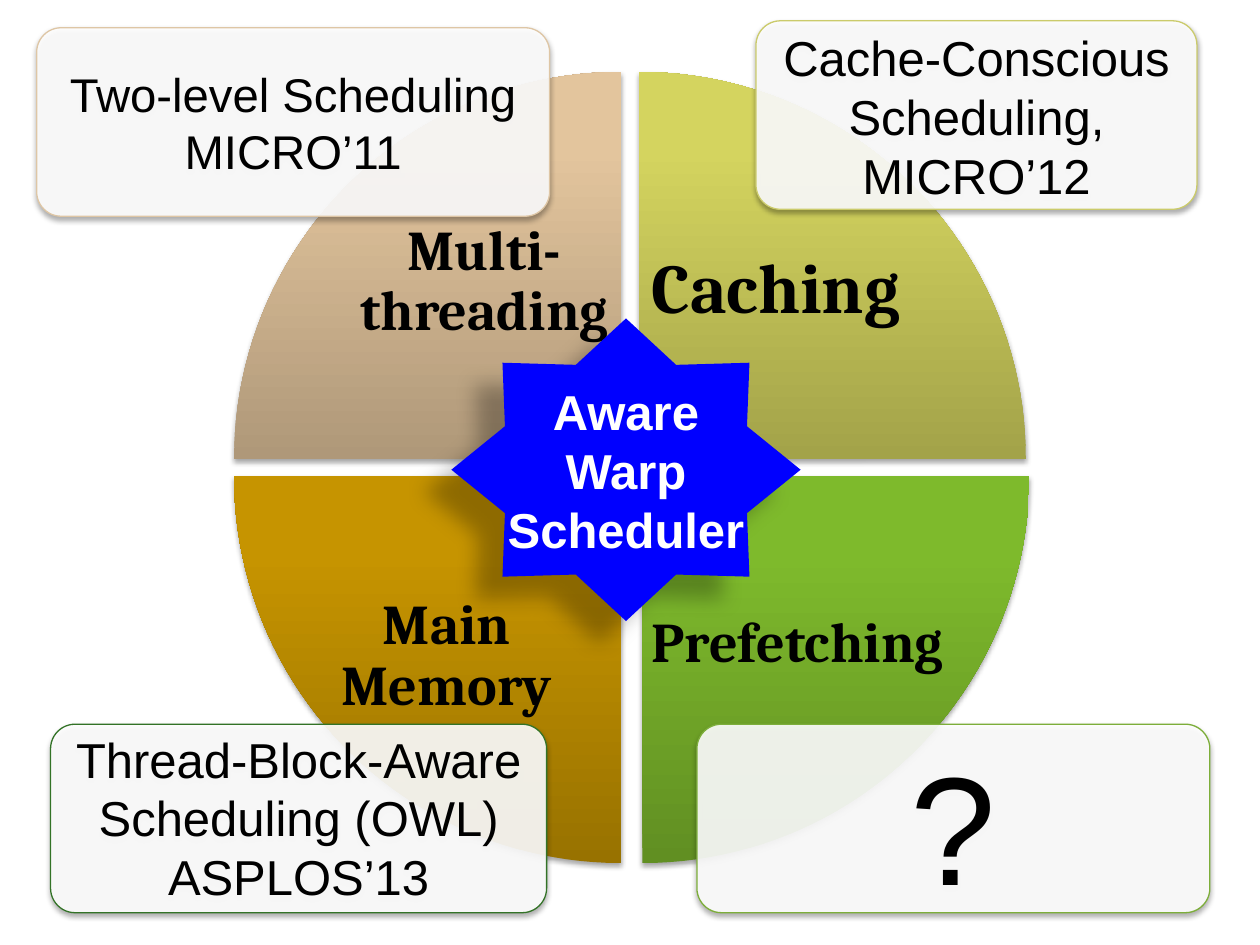
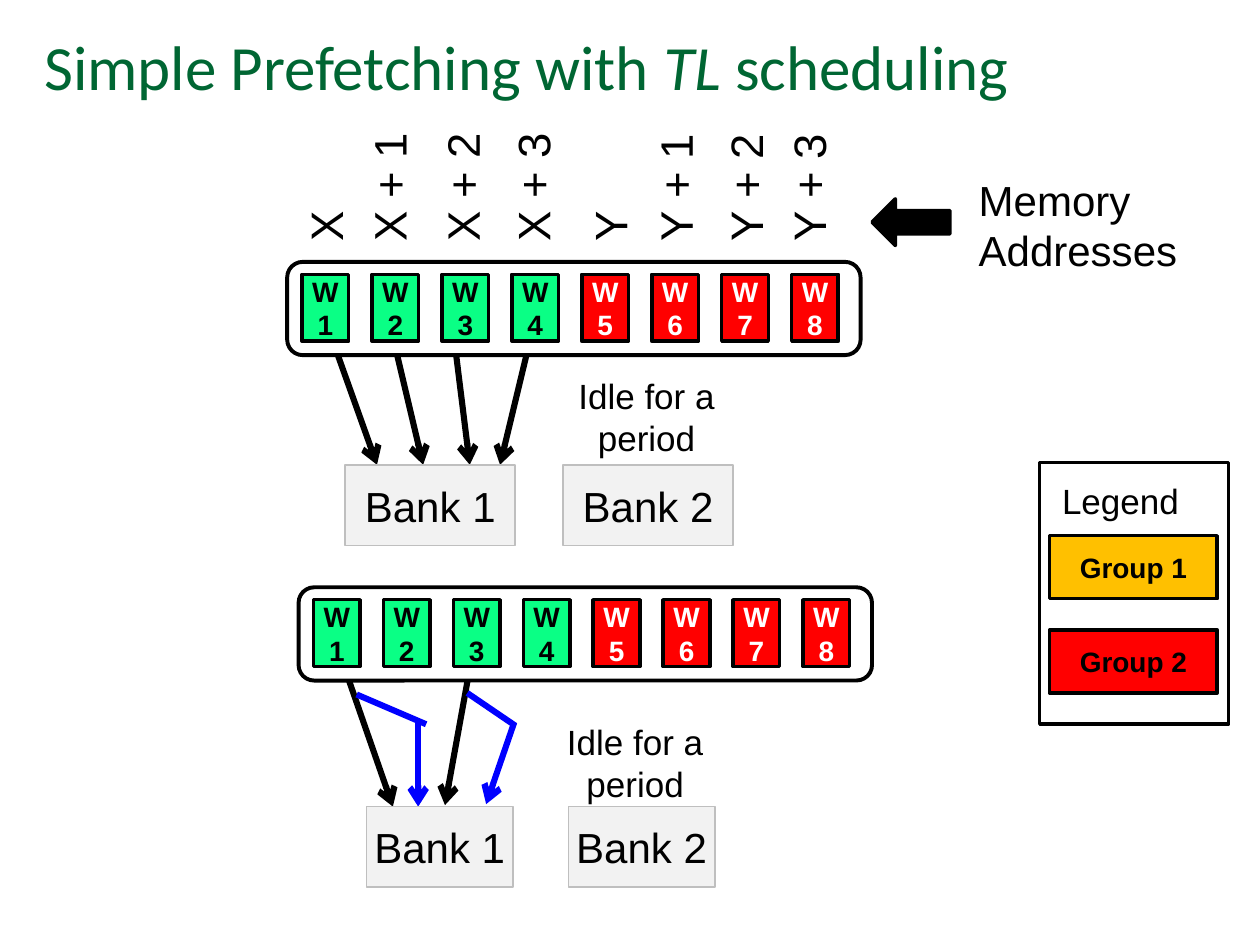
"""Build two slides on warp scheduling and simple prefetching."""
from dataclasses import dataclass
from math import cos, radians, sin

from lxml import etree
from pptx import Presentation
from pptx.dml.color import RGBColor
from pptx.enum.shapes import MSO_CONNECTOR, MSO_SHAPE
from pptx.enum.text import MSO_ANCHOR, PP_ALIGN
from pptx.oxml.ns import qn
from pptx.util import Cm, Pt

LEFT, MID = PP_ALIGN.LEFT, PP_ALIGN.CENTER
TOP, HALF, LOW = MSO_ANCHOR.TOP, MSO_ANCHOR.MIDDLE, MSO_ANCHOR.BOTTOM
RECT, ROUND = MSO_SHAPE.RECTANGLE, MSO_SHAPE.ROUNDED_RECTANGLE
STAR, ARROW = MSO_SHAPE.STAR_8_POINT, MSO_SHAPE.LEFT_ARROW
STRAIGHT = MSO_CONNECTOR.STRAIGHT


@dataclass(frozen=True)
class Theme:
    black: str = "000000"
    white: str = "FFFFFF"
    blue: str = "0000FF"
    title: str = "006633"
    green: str = "0AFF85"
    red: str = "FF0000"
    amber: str = "FFC000"
    bank: str = "F2F2F2"
    rim: str = "BFBFBF"
    sans: str = "Arial"
    serif: str = "Cambria"
    head: str = "Calibri"
    tiny: int = 16
    small: int = 20
    body: int = 24
    label: int = 26
    duo: int = 27
    card: int = 28
    wedge: int = 32
    large: int = 36
    big: int = 40
    huge: int = 88


T = Theme()
SOFT = (35, 3.1, 1.8, 90)
DEEP = (28, 11.8, 19.7, 141)
NONE = (0, 0, 0, 0)
SLIM = (0.13, 0.08, 0.13, 0.08)
BOX = (0.25, 0.13, 0.25, 0.13)


def paint(shape, fill=None, edge=None, width=2, shade=None):
    shape.shadow.inherit = False
    if isinstance(fill, tuple):
        shape.fill.gradient()
        shape.fill.gradient_angle = 90
        for stop, tone, spot in zip(shape.fill.gradient_stops, fill, (0, 0.8)):
            stop.color.rgb = RGBColor.from_string(tone)
            stop.position = spot
    elif fill:
        shape.fill.solid()
        shape.fill.fore_color.rgb = RGBColor.from_string(fill)
    else:
        shape.fill.background()
    if edge:
        shape.line.color.rgb = RGBColor.from_string(edge)
        shape.line.width = Pt(width)
    else:
        shape.line.fill.background()
    if shade:
        alpha, blur, dist, turn = shade
        cast = etree.SubElement(
            shape._element.spPr.find(qn("a:effectLst")), qn("a:outerShdw"),
            blurRad=str(Pt(blur)), dist=str(Pt(dist)), dir=str(turn * 60000),
            algn="ctr", rotWithShape="0")
        tone = etree.SubElement(cast, qn("a:srgbClr"), val=T.black)
        etree.SubElement(tone, qn("a:alpha"), val=str(alpha * 1000))
    return shape


def write(shape, lines, size, ink=T.black, font=T.sans, bold=False,
          align=MID, anchor=HALF, pads=NONE, space=None):
    """Fill a shape with lines; text between asterisks is italic."""
    frame = shape.text_frame
    frame.word_wrap = True
    frame.vertical_anchor = anchor
    (frame.margin_left, frame.margin_top,
     frame.margin_right, frame.margin_bottom) = map(Cm, pads)
    for row, line in enumerate(lines):
        para = frame.add_paragraph() if row else frame.paragraphs[0]
        para.alignment = align
        para.line_spacing = space
        for turn, words in enumerate(line.split("*")):
            run = para.add_run()
            run.text = words
            run.font.name = font
            run.font.size = Pt(size)
            run.font.bold = bold
            run.font.italic = turn % 2 == 1
            run.font.color.rgb = RGBColor.from_string(ink)


deck = Presentation()
deck.slide_width, deck.slide_height = Cm(25.4), Cm(19.05)
blank = deck.slide_layouts[6]

wheel = deck.slides.add_slide(blank).shapes
radius = 7.8
quarters = [
    ("Multi-threading", T.wedge, 12.52, 9.25, 180, ("AF9879", "E3C59D"), (2.29, 2.29, 0, 1.6)),
    ("Caching", T.big, 12.88, 9.25, 270, ("A3A349", "D4D45F"), (0, 2.29, 2.29, 1.27)),
    ("Prefetching", T.wedge, 12.95, 9.6, 0, ("618F22", "7EBA2C"), (0, 1.27, 1.55, 2.29)),
    ("Main Memory", T.wedge, 12.52, 9.6, 90, ("987200", "C69400"), (1.02, 1.78, 0.25, 2.29)),
]
for name, size, x, y, start, tones, pads in quarters:
    arc = [(Cm(x + radius * cos(radians(start + step))),
            Cm(y + radius * sin(radians(start + step)))) for step in range(0, 91, 2)]
    pen = wheel.build_freeform(Cm(x), Cm(y))
    pen.add_line_segments(arc, close=True)
    piece = paint(pen.convert_to_shape(), tones, shade=SOFT)
    write(piece, [name], size, font=T.serif, bold=True, pads=pads, space=0.9)

cards = [
    (["Cache-Conscious Scheduling, MICRO’12"], T.card, TOP, 15.24, 0.42, 8.89, "CBCB6B"),
    (["Two-level Scheduling", "MICRO’11"], T.duo, HALF, 0.74, 0.56, 10.34, "DEC6A5"),
    (["Thread-Block-Aware Scheduling (OWL)", "ASPLOS’13"], T.card, LOW, 1.02, 14.6, 10, "337327"),
    (["?"], T.huge, TOP, 14.05, 14.6, 10.34, "7DAE3A"),
]
for lines, size, anchor, x, y, wide, edge in cards:
    card = wheel.add_shape(ROUND, Cm(x), Cm(y), Cm(wide), Cm(3.8))
    card.adjustments[0] = 0.13
    paint(card, T.white, edge, 0.75, SOFT)
    tone = card._element.spPr.find(qn("a:solidFill")).find(qn("a:srgbClr"))
    etree.SubElement(tone, qn("a:alpha"), val="90000")
    write(card, lines, size, anchor=anchor)

star = wheel.add_shape(STAR, Cm(9.1), Cm(6.42), Cm(7.04), Cm(6.1))
paint(star, T.blue, shade=DEEP)
write(star, ["Aware", "Warp", "Scheduler"], T.card, T.white, bold=True,
      pads=(0, 0.13, 0, 0.13))

flow = deck.slides.add_slide(blank).shapes
links = [
    (6.65, 6.71, 7.6, 9.37, T.black, True),
    (7.9, 6.71, 8.53, 9.37, T.black, True),
    (9.14, 6.71, 9.47, 9.37, T.black, True),
    (10.72, 6.71, 10.08, 9.37, T.black, True),
    (6.98, 13.56, 7.92, 16.26, T.black, True),
    (8.43, 14.55, 8.43, 16.26, T.blue, True),
    (9.45, 13.59, 8.97, 16.23, T.black, True),
    (10.36, 14.58, 9.8, 16.21, T.blue, True),
    (7.19, 14, 8.59, 14.6, T.blue, False),
    (9.42, 13.97, 10.39, 14.63, T.blue, False),
]
for *ends, tone, tip in links:
    link = flow.add_connector(STRAIGHT, *map(Cm, ends))
    link.line.color.rgb = RGBColor.from_string(tone)
    link.line.width = Pt(3.5)
    props = link._element.spPr
    if tip:
        etree.SubElement(props.find(qn("a:ln")), qn("a:tailEnd"), type="arrow")
    etree.SubElement(props, qn("a:effectLst"))

banks = [("Bank 1", 6.96, 9.37, 3.43), ("Bank 2", 11.35, 9.37, 3.43),
         ("Bank 1", 7.39, 16.26, 2.95), ("Bank 2", 11.46, 16.26, 2.95)]
for name, x, y, wide in banks:
    bank = flow.add_shape(RECT, Cm(x), Cm(y), Cm(wide), Cm(1.63))
    write(paint(bank, T.bank, T.rim, 1), [name], T.body)

spots = [("X", 5.22), ("X + 1", 6.5), ("X + 2", 7.98), ("X + 3", 9.4),
         ("Y", 10.95), ("Y + 1", 12.27), ("Y + 2", 13.69), ("Y + 3", 14.96)]
for name, x in spots:
    spot = flow.add_textbox(Cm(x), Cm(3.05), Cm(2.64), Cm(1.24))
    spot.rotation = 270
    write(spot, [name], T.label, align=LEFT, anchor=TOP, pads=SLIM)

arrow = flow.add_shape(ARROW, Cm(17.58), Cm(4.01), Cm(1.57), Cm(0.94))
paint(arrow, T.black, T.black)

frame = flow.add_shape(RECT, Cm(20.96), Cm(9.32), Cm(3.81), Cm(5.28))
paint(frame, edge=T.black)
for name, y, tone in (("Group 1", 10.8, T.amber), ("Group 2", 12.7, T.red)):
    group = flow.add_shape(RECT, Cm(21.16), Cm(y), Cm(3.38), Cm(1.27))
    write(paint(group, tone, T.black), [name], T.tiny, bold=True, pads=SLIM)

notes = [
    ("Simple Prefetching with *TL* scheduling", T.large, T.title, T.head, LEFT,
     0.64, 0.43, 23.93, 2.11),
    ("Memory Addresses", T.body, T.black, T.sans, LEFT, 19.48, 3.38, 4.88, 2.31),
    ("Idle for a period", T.small, T.black, T.sans, MID, 11.23, 7.42, 3.61, 1.96),
    ("Idle for a period", T.small, T.black, T.sans, MID, 11, 14.4, 3.61, 1.96),
    ("Legend", T.small, T.black, T.sans, LEFT, 21.16, 9.53, 3.38, 1.12),
]
for text, size, ink, font, align, *area in notes:
    write(flow.add_textbox(*map(Cm, area)), [text], size, ink, font,
          align=align, anchor=TOP, pads=BOX)

for x, y in ((5.79, 5.28), (6.02, 11.84)):
    queue = flow.add_shape(ROUND, Cm(x), Cm(y), Cm(11.56), Cm(1.88))
    paint(queue, T.white, T.black, 2.25)
    for slot in range(8):
        warp = flow.add_shape(RECT, Cm(x + 0.3 + 1.41 * slot), Cm(y + 0.25),
                              Cm(0.94), Cm(1.35))
        tone, ink = (T.green, T.black) if slot < 4 else (T.red, T.white)
        write(paint(warp, tone, T.black), [f"W{slot + 1}"], T.tiny, ink,
              bold=True, pads=SLIM)

deck.save("out.pptx")
